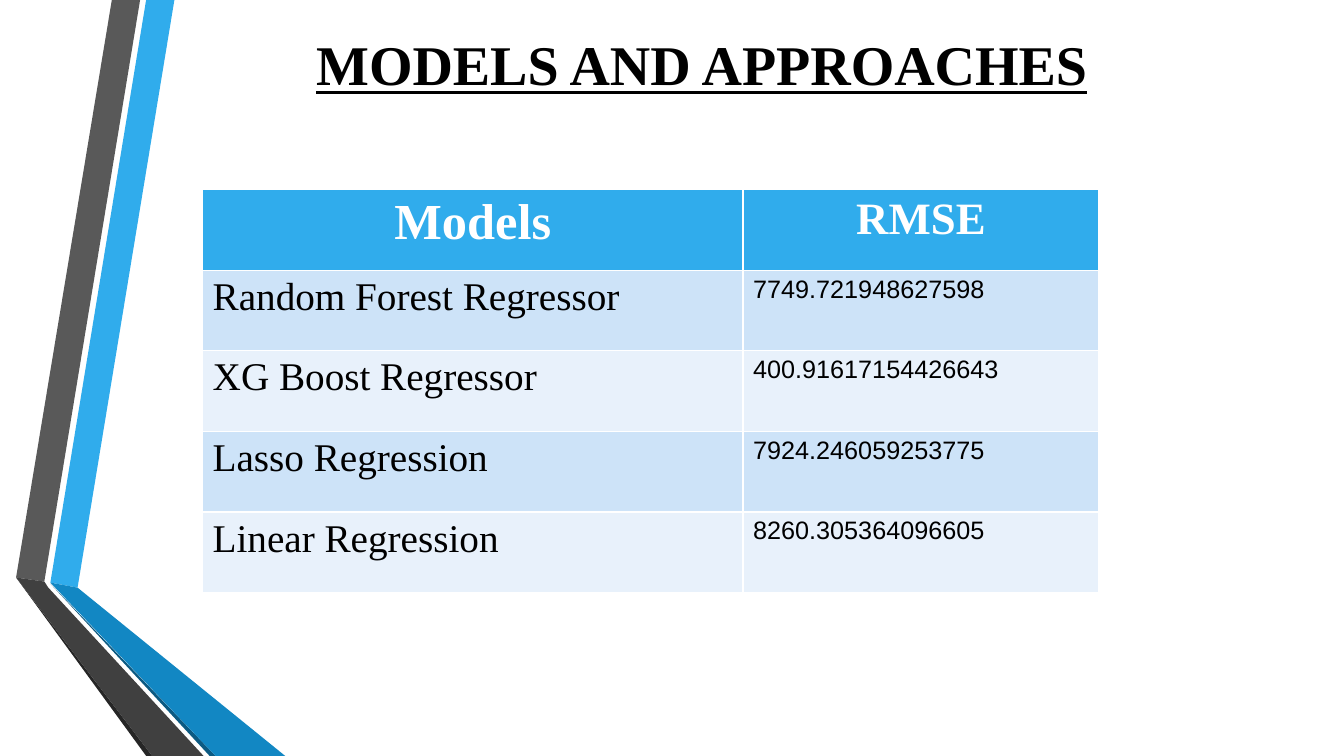
from pptx import Presentation
from pptx.dml.color import RGBColor
from pptx.enum.text import MSO_ANCHOR, PP_ALIGN
from pptx.util import Inches, Pt

SERIF = "Times New Roman"
SANS = "Arial"

RIBBONS = [
    ("30ACEC", [(0.5, 5.78), (0.77, 5.83), (1.73, 0), (1.45, 0)]),
    ("595959", [(1.39, 0), (1.11, 0), (0.16, 5.73), (0.44, 5.77)]),
    ("262626", [(0.16, 5.73), (1.45, 7.5), (1.51, 7.5)]),
    ("0C5A82", [(0.5, 5.79), (2.08, 7.5), (2.14, 7.5)]),
    ("1287C3", [(0.5, 5.78), (2.14, 7.5), (2.83, 7.5), (0.77, 5.83)]),
    ("404040", [(0.16, 5.73), (1.51, 7.5), (2.02, 7.5), (0.48, 5.83), (0.44, 5.77)]),
]

HEADINGS = [("Models", 36), ("RMSE", 32)]
SCORES = [
    ("Random Forest Regressor", "7749.721948627598"),
    ("XG Boost Regressor", "400.91617154426643"),
    ("Lasso Regression", "7924.246059253775"),
    ("Linear Regression", "8260.305364096605"),
]


def color(value):
    return RGBColor.from_string(value)


def add_text(paragraph, words, size, font, ink, bold=False, underline=False):
    run = paragraph.add_run()
    run.text = words
    run.font.size = Pt(size)
    run.font.name = font
    run.font.color.rgb = color(ink)
    run.font.bold = bold
    run.font.underline = underline


def draw_ribbons(slide, left, top):
    for fill, corners in RIBBONS:
        points = [(Inches(left + x), Inches(top + y)) for x, y in corners]
        builder = slide.shapes.build_freeform(*points[0])
        builder.add_line_segments(points[1:], close=True)
        ribbon = builder.convert_to_shape()
        ribbon.shadow.inherit = False
        ribbon.fill.solid()
        ribbon.fill.fore_color.rgb = color(fill)
        ribbon.line.fill.background()


def place_title(slide, left, top, width, height):
    title = slide.shapes.title
    title.left, title.top = Inches(left), Inches(top)
    title.width, title.height = Inches(width), Inches(height)
    title.text_frame.vertical_anchor = MSO_ANCHOR.MIDDLE
    heading = title.text_frame.paragraphs[0]
    heading.alignment = PP_ALIGN.CENTER
    add_text(heading, "MODELS AND APPROACHES", 40, SERIF, "000000", True, True)


def fill_cell(cell, fill, words, size, font, ink="000000", bold=False, align=PP_ALIGN.LEFT):
    cell.fill.solid()
    cell.fill.fore_color.rgb = color(fill)
    paragraph = cell.text_frame.paragraphs[0]
    paragraph.alignment = align
    add_text(paragraph, words, size, font, ink, bold)


def place_scores(slide, left, top, width, height):
    scores = slide.shapes.add_table(
        len(SCORES) + 1, 2, Inches(left), Inches(top), Inches(width), Inches(height)
    ).table
    model_width = 5.36
    scores.columns[0].width = Inches(model_width)
    scores.columns[1].width = Inches(width - model_width)

    for column, (heading, size) in enumerate(HEADINGS):
        fill_cell(scores.cell(0, column), "30ACEC", heading, size, SERIF,
                  "FFFFFF", True, PP_ALIGN.CENTER)
    for row, (model, rmse) in enumerate(SCORES, start=1):
        band = "CDE3F8" if row % 2 else "E8F1FB"
        fill_cell(scores.cell(row, 0), band, model, 28, SERIF)
        fill_cell(scores.cell(row, 1), band, rmse, 18, SANS)


def main():
    deck = Presentation()
    deck.slide_width, deck.slide_height = Inches(13.33), Inches(7.5)
    slide = deck.slides.add_slide(deck.slide_layouts[5])
    draw_ribbons(slide, 0, 0)
    place_title(slide, 1.79, 0.19, 10.34, 0.88)
    place_scores(slide, 2.01, 1.88, 8.89, 4)
    deck.save("out.pptx")


if __name__ == "__main__":
    main()
